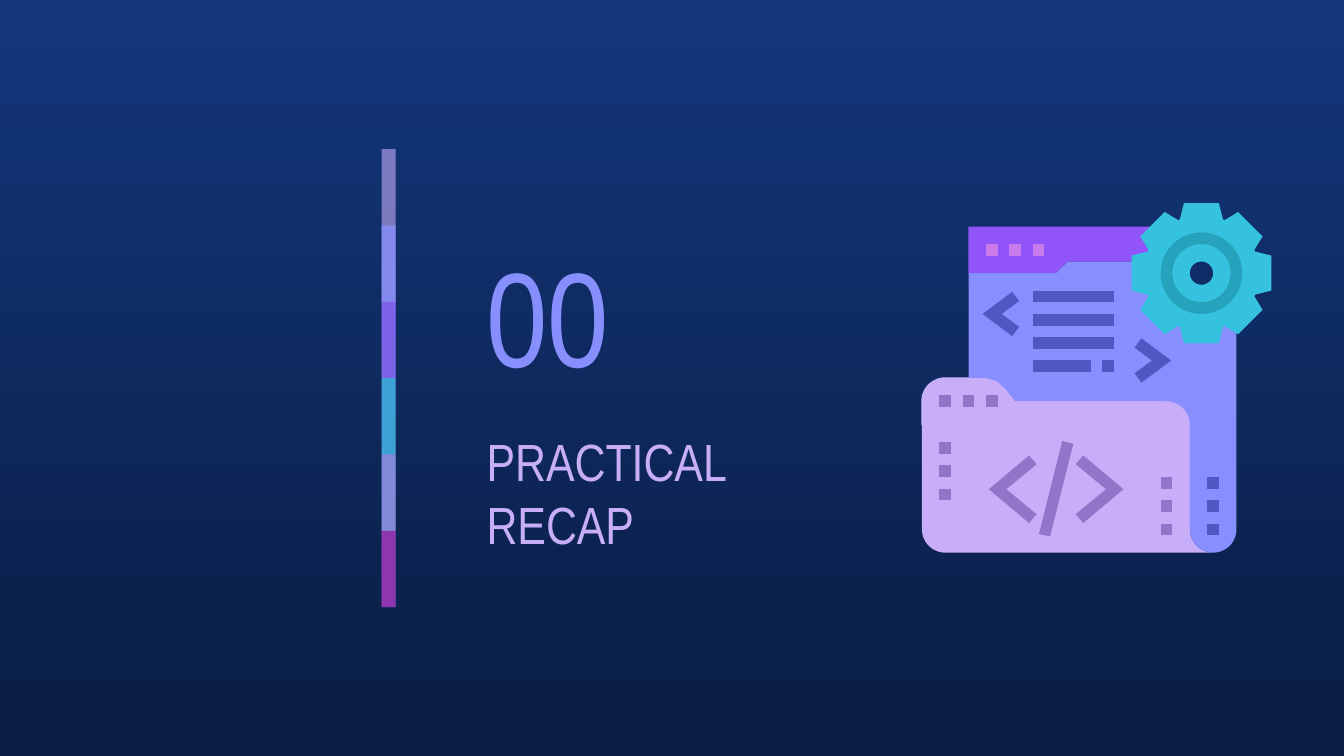
import math
from lxml import etree
from pptx import Presentation
from pptx.dml.color import RGBColor
from pptx.enum import shapes, text
from pptx.oxml import ns
from pptx.util import Pt

NAVY_TOP = RGBColor(0x13, 0x36, 0x7C)
NAVY_BOTTOM = RGBColor(0x0A, 0x1D, 0x42)
PERIWINKLE = RGBColor(0x87, 0x8F, 0xFF)
LILAC = RGBColor(0xC8, 0xAE, 0xF8)
VIOLET = RGBColor(0x91, 0x54, 0xF8)
CYAN = RGBColor(0x35, 0xC2, 0xDF)
TEAL = RGBColor(0x26, 0xA2, 0xBC)
ORCHID = RGBColor(0xCA, 0x7B, 0xEB)
MAGENTA = RGBColor(0x97, 0x2C, 0xB4)
MAUVE = RGBColor(0x92, 0x75, 0xC8)
INDIGO = RGBColor(0x4F, 0x57, 0xC3)

FONT = "Arial Narrow"
ICON_CELLS = 30
BAR_COLORS = [(LILAC, 59), (PERIWINKLE, 74), (VIOLET, 53),
              (CYAN, 76), (ORCHID, 56), (MAGENTA, 74)]
SMALL_CHEVRON = [(2.55, -1.9), (0, 0), (2.55, 1.9), (3.15, 1.1), (1.65, 0), (3.15, -1.1)]
LARGE_CHEVRON = [(3.45, -2.9), (0, 0), (3.45, 2.9), (4.1, 2.15), (1.5, 0), (4.1, -2.15)]
GEAR_QUARTER = [(-1.5, -6), (1.5, -6), (1.85, -4.6), (2, -4.55),
                (3.15, -5.25), (5.25, -3.15), (4.55, -2), (4.6, -1.85)]


def arc(center_x, center_y, radius, start, end):
    steps = max(8, abs(end - start) // 6)
    angles = [math.radians(start + (end - start) * step / steps) for step in range(steps + 1)]
    return [(center_x + radius * math.cos(angle), center_y + radius * math.sin(angle))
            for angle in angles]


def paint(shape, color):
    shape.shadow.inherit = False
    shape.fill.solid()
    shape.fill.fore_color.rgb = color
    shape.line.fill.background()


def paint_background(slide):
    fill = slide.background.fill
    fill.gradient()
    fill.gradient_angle = 270
    for stop, color in zip(fill.gradient_stops, (NAVY_TOP, NAVY_BOTTOM)):
        stop.color.rgb = color


def place_heading(placeholder, wording, size, color, left, top, width, height):
    placeholder.left, placeholder.top = Pt(left), Pt(top)
    placeholder.width, placeholder.height = Pt(width), Pt(height)
    frame = placeholder.text_frame
    frame.text = wording
    frame.word_wrap = True
    frame.auto_size = text.MSO_AUTO_SIZE.NONE
    frame.vertical_anchor = text.MSO_ANCHOR.MIDDLE
    frame.margin_left = frame.margin_right = Pt(7.2)
    frame.margin_top = frame.margin_bottom = Pt(7.2)
    paragraph = frame.paragraphs[0]
    paragraph.alignment = text.PP_ALIGN.LEFT
    paragraph.space_before = Pt(0)
    font = paragraph.runs[0].font
    font.name, font.size, font.color.rgb = FONT, Pt(size), color


def draw_color_bar(slide, left, top, width, height):
    group = slide.shapes.add_group_shape()
    step = height / len(BAR_COLORS)
    for index, (color, opacity) in enumerate(BAR_COLORS):
        bottom = min(top + (index + 2) * step, top + height)
        band_top = top + index * step
        band = group.shapes.add_shape(shapes.MSO_SHAPE.RECTANGLE, Pt(left), Pt(band_top),
                                      Pt(width), Pt(bottom - band_top))
        paint(band, color)
        color_element = band.element.spPr.find(".//" + ns.qn("a:srgbClr"))
        etree.SubElement(color_element, ns.qn("a:alpha"), val=str(opacity * 1000))


def draw_code_icon(slide, left, top, size):
    group = slide.shapes.add_group_shape()
    cell = size / ICON_CELLS

    def outline(color, *contours):
        placed = [[(Pt(left + x * cell), Pt(top + y * cell)) for x, y in contour]
                  for contour in contours]
        builder = group.shapes.build_freeform(*placed[0][0])
        builder.add_line_segments(placed[0][1:])
        for contour in placed[1:]:
            builder.move_to(*contour[0])
            builder.add_line_segments(contour[1:])
        shape = builder.convert_to_shape()
        paint(shape, color)
        return shape

    def block(color, x, y, width=1):
        outline(color, [(x, y), (x, y + 1), (x + width, y + 1), (x + width, y)])

    def chevron(color, points, tip_x, tip_y, direction):
        outline(color, [(tip_x + direction * x, tip_y + y) for x, y in points])

    def ring(color, outer, inner):
        outline(color, arc(24, 6, outer, 0, 360), arc(24, 6, inner, 0, 360))

    outline(LILAC, [(0, 19), *arc(2, 28, 2, 180, 90), *arc(25, 28, 2, 90, 180), (23, 19)])
    tab_slope = [(8, 17), (7.15, 15.9), (6.4, 15.25), (5.5, 15)]
    tab = outline(LILAC, [*arc(2, 17, 2, 270, 180), (0, 19),
                          *arc(21, 19, 2, 0, -90), *tab_slope])
    tab.line.color.rgb = LILAC
    tab.line.width = Pt(0.75)

    outline(PERIWINKLE, [(12.5, 5), (11.5, 6), (4, 6), (4, 15), *reversed(tab_slope),
                         *arc(21, 19, 2, -90, 0), *arc(25, 28, 2, 180, 0),
                         (27, 10), (20, 8), (18.5, 5)])
    outline(VIOLET, [(4, 2), (4, 6), (11.5, 6), (12.5, 5), (18.5, 5), (20, 4), (19.5, 2)])

    gear = []
    quarter = GEAR_QUARTER
    for _ in range(4):
        gear += [(24 + x, 6 + y) for x, y in quarter]
        quarter = [(-y, x) for x, y in quarter]
    ring(CYAN, 3, 1)
    outline(CYAN, gear, arc(24, 6, 3, 0, 360))
    ring(TEAL, 3.5, 2.5)

    for offset in (0, 2, 4):
        block(ORCHID, 5.5 + offset, 3.5)
        block(MAUVE, 1.5 + offset, 16.5)
        block(MAUVE, 1.5, 20.5 + offset)
        block(MAUVE, 20.5, 23.5 + offset)
        block(INDIGO, 24.5, 23.5 + offset)
        block(INDIGO, 9.5, 7.5 + offset, 7)
    block(INDIGO, 9.5, 13.5, 5)
    block(INDIGO, 15.5, 13.5)

    chevron(INDIGO, SMALL_CHEVRON, 5.2, 9.5, 1)
    chevron(INDIGO, SMALL_CHEVRON, 21.4, 13.5, -1)
    chevron(MAUVE, LARGE_CHEVRON, 5.75, 24.55, 1)
    chevron(MAUVE, LARGE_CHEVRON, 17.3, 24.55, -1)
    outline(MAUVE, [(12.05, 20.4), (10.05, 28.4), (11, 28.6), (13, 20.65)])


def main():
    presentation = Presentation()
    presentation.slide_width, presentation.slide_height = Pt(720), Pt(405)
    slide = presentation.slides.add_slide(presentation.slide_layouts[0])
    paint_background(slide)
    number, heading = slide.placeholders
    place_heading(number, "00", 72, PERIWINKLE, 253.5, 119.5, 126, 97.2)
    place_heading(heading, "PRACTICAL RECAP", 28, LILAC, 253.5, 229, 206.5, 69)
    draw_code_icon(slide, 493.9, 108.9, 187.2)
    draw_color_bar(slide, 204.5, 79.9, 7.5, 245.4)
    presentation.save("out.pptx")


if __name__ == "__main__":
    main()
